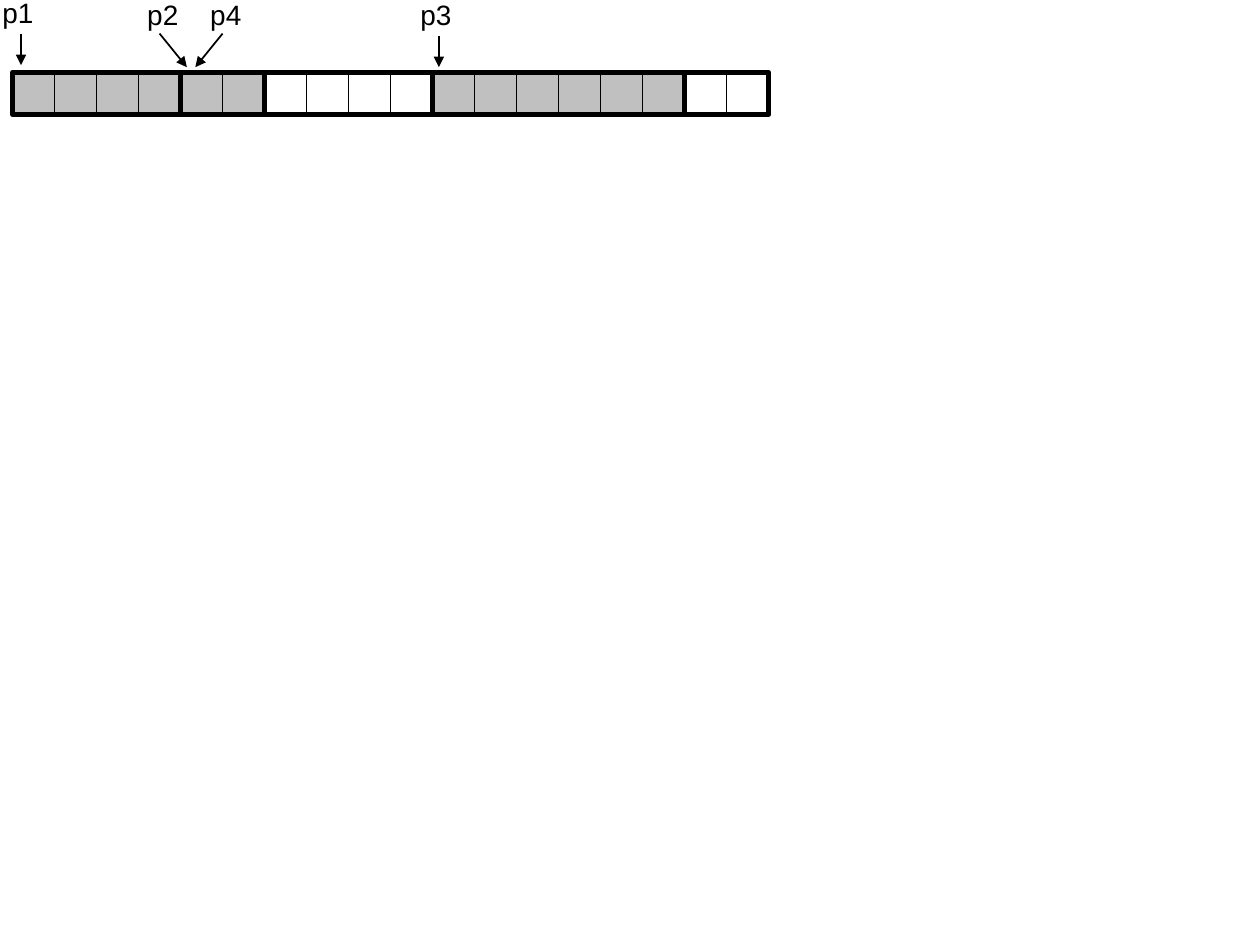
"""Draw a row of memory blocks with pointers p1 to p4."""
from lxml import etree
from pptx import Presentation
from pptx import util as u
from pptx.dml.color import RGBColor
from pptx.enum import shapes, text
from pptx.oxml.ns import qn

PX = 7620
BLACK = RGBColor(0, 0, 0)
GREY = RGBColor(0xC0, 0xC0, 0xC0)
WHITE = RGBColor(255, 255, 255)
LEFT, TOP, CELL = 12, 68, 40
BLOCKS = [(4, GREY), (2, GREY), (4, WHITE), (6, GREY), (2, WHITE)]
POINTERS = [
    ("p1", (-10, -10), (20, 32), (20, 62)),
    ("p2", (128, -8), (152, 32), (178, 64)),
    ("p3", (388, -8), (418, 34), (418, 64)),
    ("p4", (188, -8), (212, 32), (186, 64)),
]
FRAME = {"word_wrap": False, "auto_size": text.MSO_AUTO_SIZE.SHAPE_TO_FIT_TEXT,
         "vertical_anchor": text.MSO_ANCHOR.MIDDLE}
FONT = {"name": "Arial", "size": u.Pt(16)}


def scale(*vals):
    """Turn px lengths into EMU."""
    return [u.Emu(val * PX) for val in vals]


def put(item, vals):
    """Set attributes from a dict of format values."""
    for key, val in vals.items():
        setattr(item, key, val)


def ink(line, width):
    """Make a line black and of the given width in points."""
    line.color.rgb = BLACK
    line.width = u.Pt(width)


def add_rect(slide, box, width, fill=None):
    """Add an outlined rectangle, filled if a colour is given."""
    rect = slide.shapes.add_shape(shapes.MSO_SHAPE.RECTANGLE, *scale(*box))
    rect.shadow.inherit = False
    ink(rect.line, width)
    if fill is None:
        rect.fill.background()
    else:
        rect.fill.solid()
        rect.fill.fore_color.rgb = fill


def add_label(slide, word, spot):
    """Add a centred pointer name."""
    frame = slide.shapes.add_textbox(*scale(*spot, 54, 44)).text_frame
    put(frame, FRAME)
    para = frame.paragraphs[0]
    para.alignment = text.PP_ALIGN.CENTER
    run = para.add_run()
    run.text = word
    put(run.font, FONT)
    run.font.color.rgb = BLACK


def add_arrow(slide, start, end):
    """Add a thin arrow with a triangle at its end."""
    arrow = slide.shapes.add_connector(
        shapes.MSO_CONNECTOR.STRAIGHT, *scale(*start, *end))
    ink(arrow.line, 1)
    etree.SubElement(arrow.line._get_or_add_ln(), qn("a:tailEnd"), type="triangle")
    etree.SubElement(arrow._element.spPr, qn("a:effectLst"))


def add_blocks(slide):
    """Add the cells, then a thick frame around each block."""
    fills = [fill for count, fill in BLOCKS for _ in range(count)]
    for num, fill in enumerate(fills):
        add_rect(slide, (LEFT + num * CELL, TOP, CELL, CELL), 0.25, fill)
    left = LEFT
    for count, _ in BLOCKS:
        add_rect(slide, (left, TOP + 1, count * CELL, CELL), 3)
        left += count * CELL


def main():
    """Build and save the slide."""
    deck = Presentation()
    put(deck, {"slide_width": u.Inches(10), "slide_height": u.Inches(7.5)})
    slide = deck.slides.add_slide(deck.slide_layouts[6])
    add_blocks(slide)
    for word, spot, start, end in POINTERS:
        add_label(slide, word, spot)
        add_arrow(slide, start, end)
    deck.save("out.pptx")


if __name__ == "__main__":
    main()
